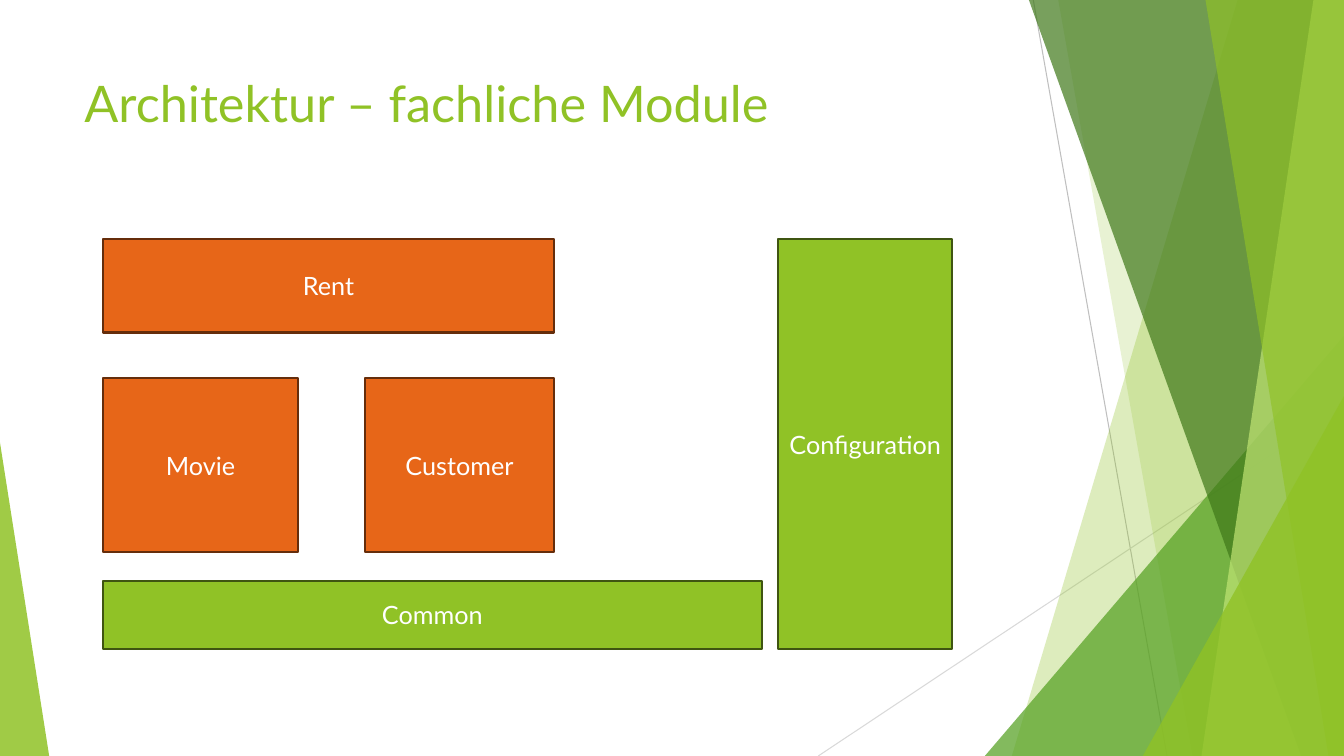
"""Build the slide showing the business modules of the architecture."""
from dataclasses import dataclass

from lxml.etree import SubElement
from pptx import Presentation
from pptx.dml.color import RGBColor
from pptx.enum.shapes import MSO_CONNECTOR, MSO_SHAPE
from pptx.enum.text import MSO_ANCHOR, PP_ALIGN
from pptx.oxml.ns import qn
from pptx.shapes.autoshape import Shape
from pptx.slide import Slide
from pptx.text.text import TextFrame
from pptx.util import Cm, Pt

WIDTH, HEIGHT = 33.87, 19.05
FONT = "Lato"

WHITE = RGBColor(0xFF, 0xFF, 0xFF)
LIME = RGBColor(0x90, 0xC2, 0x26)
PALE_LIME = RGBColor(0xC0, 0xE4, 0x74)
GREEN = RGBColor(0x54, 0xA0, 0x21)
DARK_GREEN = RGBColor(0x3F, 0x78, 0x19)
LIME_BORDER = RGBColor(0x3F, 0x55, 0x11)
ORANGE = RGBColor(0xE7, 0x66, 0x18)
ORANGE_BORDER = RGBColor(0x65, 0x2D, 0x0B)
GREY = RGBColor(0xBF, 0xBF, 0xBF)
LIGHT_GREY = RGBColor(0xD9, 0xD9, 0xD9)


@dataclass(frozen=True)
class Ray:
    """A thin line behind the facets."""
    start: tuple[float, float]
    end: tuple[float, float]
    color: RGBColor


@dataclass(frozen=True)
class Band:
    """A facet from a slanted left edge to the right slide edge."""
    top_x: float
    bottom_x: float
    color: RGBColor
    opacity: int


@dataclass(frozen=True)
class Corner:
    """A right triangle standing on the bottom slide edge."""
    left: float
    top: float
    width: float
    apex: float
    color: RGBColor
    opacity: int


@dataclass(frozen=True)
class Module:
    """A labelled box of the architecture."""
    label: str
    left: float
    top: float
    width: float
    height: float
    fill: RGBColor
    border: RGBColor


RAYS = [
    Ray((26.04, 0), (29.41, HEIGHT), GREY),
    Ray((WIDTH, 10.24), (20.62, HEIGHT), LIGHT_GREY),
]
FACETS = [
    Band(31.19, 25.5, LIME, 30),
    Band(26.67, 30.05, LIME, 20),
    Corner(24.82, 8.46, 9.05, 1, GREEN, 72),
    Band(25.93, 32.79, DARK_GREEN, 70),
    Band(33.1, 30.28, PALE_LIME, 70),
    Band(30.38, 33.48, LIME, 65),
    Corner(28.8, 9.98, 5.07, 1, LIME, 80),
    Corner(0, 11.15, 1.24, 0, LIME, 85),
]
MODULES = [
    Module("Common", 2.59, 14.63, 16.61, 1.73, LIME, LIME_BORDER),
    Module("Configuration", 19.61, 6.02, 4.39, 10.34, LIME, LIME_BORDER),
    Module("Movie", 2.59, 9.53, 4.93, 4.39, ORANGE, ORANGE_BORDER),
    Module("Customer", 9.19, 9.53, 4.78, 4.39, ORANGE, ORANGE_BORDER),
    Module("Rent", 2.59, 6.02, 11.38, 2.36, ORANGE, ORANGE_BORDER),
]


def write_text(frame: TextFrame, text: str, size: int, color: RGBColor) -> None:
    """Add one run to the first paragraph of the frame."""
    frame.word_wrap = True
    run = frame.paragraphs[0].add_run()
    run.text = text
    run.font.name = FONT
    run.font.size = Pt(size)
    run.font.color.rgb = color


def fill_shape(shape: Shape, color: RGBColor) -> None:
    """Give the shape a solid fill and no shadow."""
    shape.shadow.inherit = False
    shape.fill.solid()
    shape.fill.fore_color.rgb = color


def draw_ray(slide: Slide, ray: Ray) -> None:
    """Draw a thin line without a shadow."""
    connector = slide.shapes.add_connector(
        MSO_CONNECTOR.STRAIGHT, *map(Cm, ray.start + ray.end))
    connector.line.color.rgb = ray.color
    connector.line.width = Pt(0.75)
    SubElement(connector.element.spPr, qn("a:effectLst"))


def draw_facet(slide: Slide, facet: Band | Corner) -> None:
    """Draw a translucent facet without an outline."""
    if isinstance(facet, Band):
        builder = slide.shapes.build_freeform(Cm(facet.top_x), Cm(0))
        corners = [(WIDTH, 0), (WIDTH, HEIGHT), (facet.bottom_x, HEIGHT)]
        builder.add_line_segments([(Cm(x), Cm(y)) for x, y in corners])
        shape = builder.convert_to_shape()
    else:
        shape = slide.shapes.add_shape(
            MSO_SHAPE.ISOSCELES_TRIANGLE, Cm(facet.left), Cm(facet.top),
            Cm(facet.width), Cm(HEIGHT - facet.top))
        shape.adjustments[0] = facet.apex
    fill_shape(shape, facet.color)
    shape.line.fill.background()
    color_element = shape.element.spPr.find(qn("a:solidFill"))[0]
    SubElement(color_element, qn("a:alpha"), val=str(facet.opacity * 1000))


def draw_module(slide: Slide, module: Module) -> None:
    """Draw a module box with its centred label."""
    shape = slide.shapes.add_shape(
        MSO_SHAPE.RECTANGLE, Cm(module.left), Cm(module.top),
        Cm(module.width), Cm(module.height))
    fill_shape(shape, module.fill)
    shape.line.color.rgb = module.border
    shape.line.width = Pt(1.5)
    frame = shape.text_frame
    frame.vertical_anchor = MSO_ANCHOR.MIDDLE
    frame.paragraphs[0].alignment = PP_ALIGN.CENTER
    write_text(frame, module.label, 18, WHITE)


def main() -> None:
    """Create and save the presentation."""
    presentation = Presentation()
    presentation.slide_width = Cm(WIDTH)
    presentation.slide_height = Cm(HEIGHT)
    slide = presentation.slides.add_slide(presentation.slide_layouts[6])
    for ray in RAYS:
        draw_ray(slide, ray)
    for facet in FACETS:
        draw_facet(slide, facet)
    title = slide.shapes.add_textbox(Cm(1.88), Cm(1.7), Cm(23.88), Cm(2.67))
    write_text(title.text_frame, "Architektur – fachliche Module", 36, LIME)
    for module in MODULES:
        draw_module(slide, module)
    presentation.save("out.pptx")


if __name__ == "__main__":
    main()
